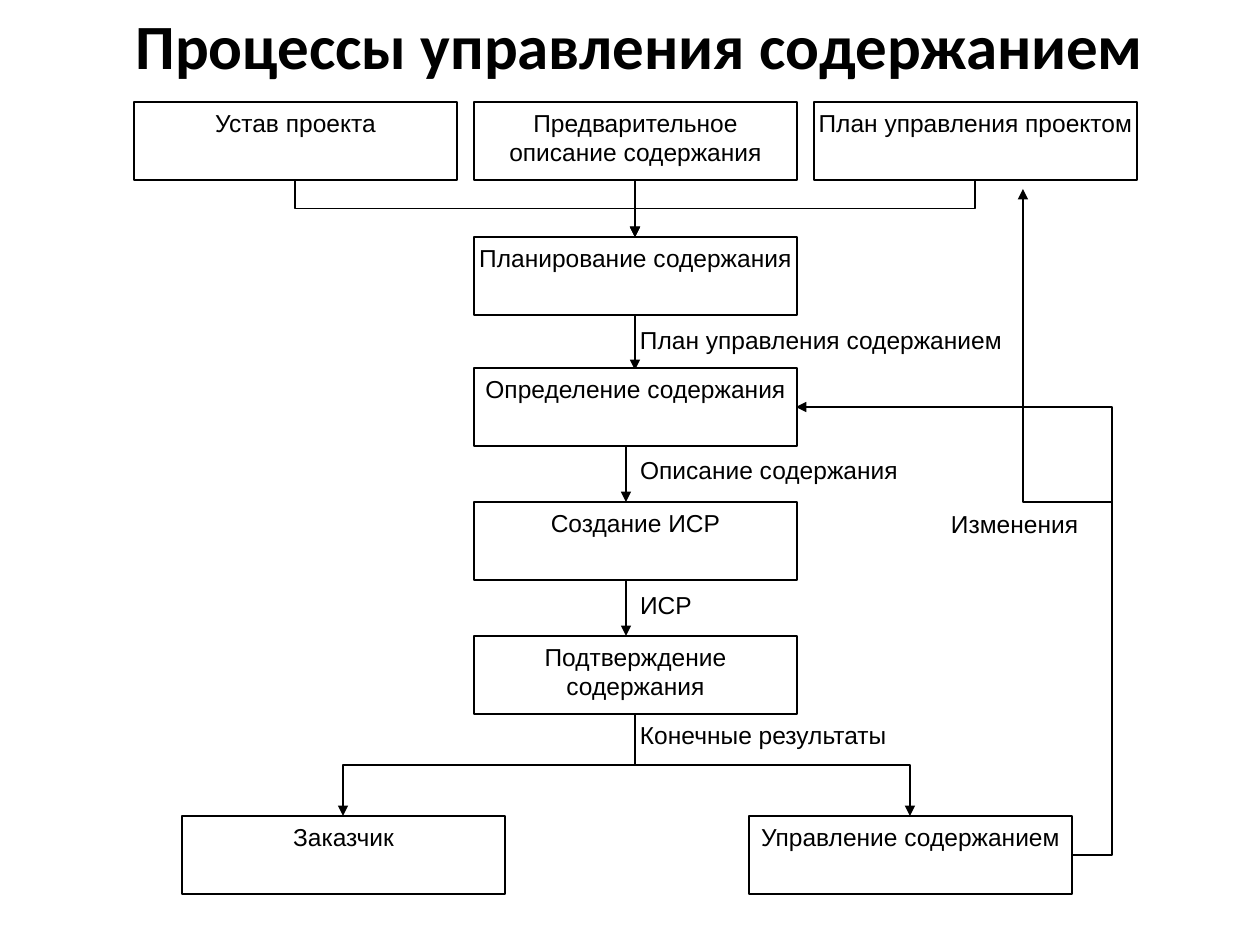
from lxml import etree
from pptx import Presentation
from pptx.dml.color import RGBColor
from pptx.enum.shapes import MSO_CONNECTOR, MSO_SHAPE
from pptx.enum.text import MSO_ANCHOR, MSO_AUTO_SIZE, PP_ALIGN
from pptx.oxml.ns import qn
from pptx.util import Emu, Pt

RECTANGLE = MSO_SHAPE.RECTANGLE
STRAIGHT, ELBOW = MSO_CONNECTOR.STRAIGHT, MSO_CONNECTOR.ELBOW
TOP, MIDDLE = MSO_ANCHOR.TOP, MSO_ANCHOR.MIDDLE
LEFT, CENTER = PP_ALIGN.LEFT, PP_ALIGN.CENTER
NO_FIT = MSO_AUTO_SIZE.NONE
COLORS = {"ink": "000000", "paper": "FFFFFF"}
PIXEL = 914400 / 126
BOX_WIDTH, BOX_HEIGHT = 323, 78


def px(value):
    return Emu(round(value * PIXEL))


def color(name):
    return RGBColor.from_string(COLORS[name])


class Diagram:
    def __init__(self, presentation):
        self.slide = presentation.slides.add_slide(presentation.slide_layouts[5])

    def set_text(self, shape, text, size, font, align, anchor, insets, bold=False):
        frame = shape.text_frame
        frame.word_wrap = True
        frame.auto_size = NO_FIT
        frame.vertical_anchor = anchor
        frame.margin_left = frame.margin_right = px(insets[0])
        frame.margin_top = frame.margin_bottom = px(insets[1])
        frame.text = text
        paragraph = frame.paragraphs[0]
        paragraph.alignment = align
        paragraph.font.size = Pt(size)
        paragraph.font.name = font
        paragraph.font.bold = bold
        paragraph.font.color.rgb = color("ink")

    def title(self, text, left, top, width, height):
        shape = self.slide.shapes.title
        shape.left, shape.top = px(left), px(top)
        shape.width, shape.height = px(width), px(height)
        self.set_text(shape, text, 36, "Calibri", CENTER, MIDDLE, (13, 6), True)

    def box(self, text, left, top):
        shape = self.slide.shapes.add_shape(
            RECTANGLE, px(left), px(top), px(BOX_WIDTH), px(BOX_HEIGHT))
        shape.shadow.inherit = False
        shape.fill.solid()
        shape.fill.fore_color.rgb = color("paper")
        shape.line.color.rgb = color("ink")
        shape.line.width = Pt(0.75)
        self.set_text(shape, text, 14, "Arial", CENTER, TOP, (3, 6))

    def label(self, text, left, top, width):
        shape = self.slide.shapes.add_textbox(px(left), px(top), px(width), px(32))
        self.set_text(shape, text, 14, "Arial", LEFT, TOP, (0, 0))

    def arrow(self, x1, y1, x2, y2, kind=STRAIGHT):
        connector = self.slide.shapes.add_connector(kind, px(x1), px(y1), px(x2), px(y2))
        connector.line.color.rgb = color("ink")
        connector.line.width = Pt(0.75)
        properties = connector._element.spPr
        etree.SubElement(properties.find(qn("a:ln")), qn("a:tailEnd"), type="triangle")
        etree.SubElement(properties, qn("a:effectLst"))
        return connector

    def drop(self, x1, y1, x2, y2):
        middle_x, middle_y = (x1 + x2) / 2, (y1 + y2) / 2
        half_width, half_height = (y2 - y1) / 2, abs(x2 - x1) / 2
        side = 1 if x2 < x1 else -1
        connector = self.arrow(
            middle_x - side * half_width, middle_y - half_height,
            middle_x + side * half_width, middle_y + half_height, ELBOW)
        degrees = 90 if side == 1 else 270
        connector._element.spPr.find(qn("a:xfrm")).set("rot", str(degrees * 60000))

    def detour(self, x1, y1, x2, y2, preset, adjustments):
        connector = self.arrow(x1, y1, x2, y2, ELBOW)
        geometry = connector._element.spPr.find(qn("a:prstGeom"))
        geometry.set("prst", preset)
        guides = geometry.find(qn("a:avLst"))
        if guides is None:
            guides = etree.SubElement(geometry, qn("a:avLst"))
        for number, value in enumerate(adjustments, 1):
            etree.SubElement(guides, qn("a:gd"), name=f"adj{number}",
                             fmla=f"val {round(value * 100000)}")


presentation = Presentation()
presentation.slide_width, presentation.slide_height = px(1260), px(945)
diagram = Diagram(presentation)
diagram.title("Процессы управления содержанием", 74, 0, 1131, 89)

COLUMN, CENTER_X = 474, 635
INPUT_TOP, OUTPUT_TOP = 102, 816
inputs = [("Устав проекта", 134), ("Предварительное описание содержания", COLUMN),
          ("План управления проектом", 814)]
steps = [("Планирование содержания", 237), ("Определение содержания", 368),
         ("Создание ИСР", 502), ("Подтверждение содержания", 636)]
outputs = [("Заказчик", 182), ("Управление содержанием", 749)]
labels = [("План управления содержанием", 640, 325, 431),
          ("Описание содержания", 640, 455, 335), ("ИСР", 640, 590, 335),
          ("Конечные результаты", 640, 720, 302), ("Изменения", 951, 509, 152)]

for x, start, end in [(CENTER_X, 180, 237), (CENTER_X, 315, 370),
                      (626, 446, 502), (626, 580, 636)]:
    diagram.arrow(x, start, x, end)
for start_x in (295, 975):
    diagram.drop(start_x, 180, CENTER_X, 237)
for end_x in (343, 910):
    diagram.drop(CENTER_X, 714, end_x, OUTPUT_TOP)
diagram.detour(1071, 855, 1023, 189, "bentConnector4", [-0.84, 0.53])
diagram.detour(1071, 855, 796, 407, "bentConnector3", [-0.15])

for text, left in inputs:
    diagram.box(text, left, INPUT_TOP)
for text, top in steps:
    diagram.box(text, COLUMN, top)
for text, left in outputs:
    diagram.box(text, left, OUTPUT_TOP)
for text, left, top, width in labels:
    diagram.label(text, left, top, width)

presentation.save("out.pptx")
